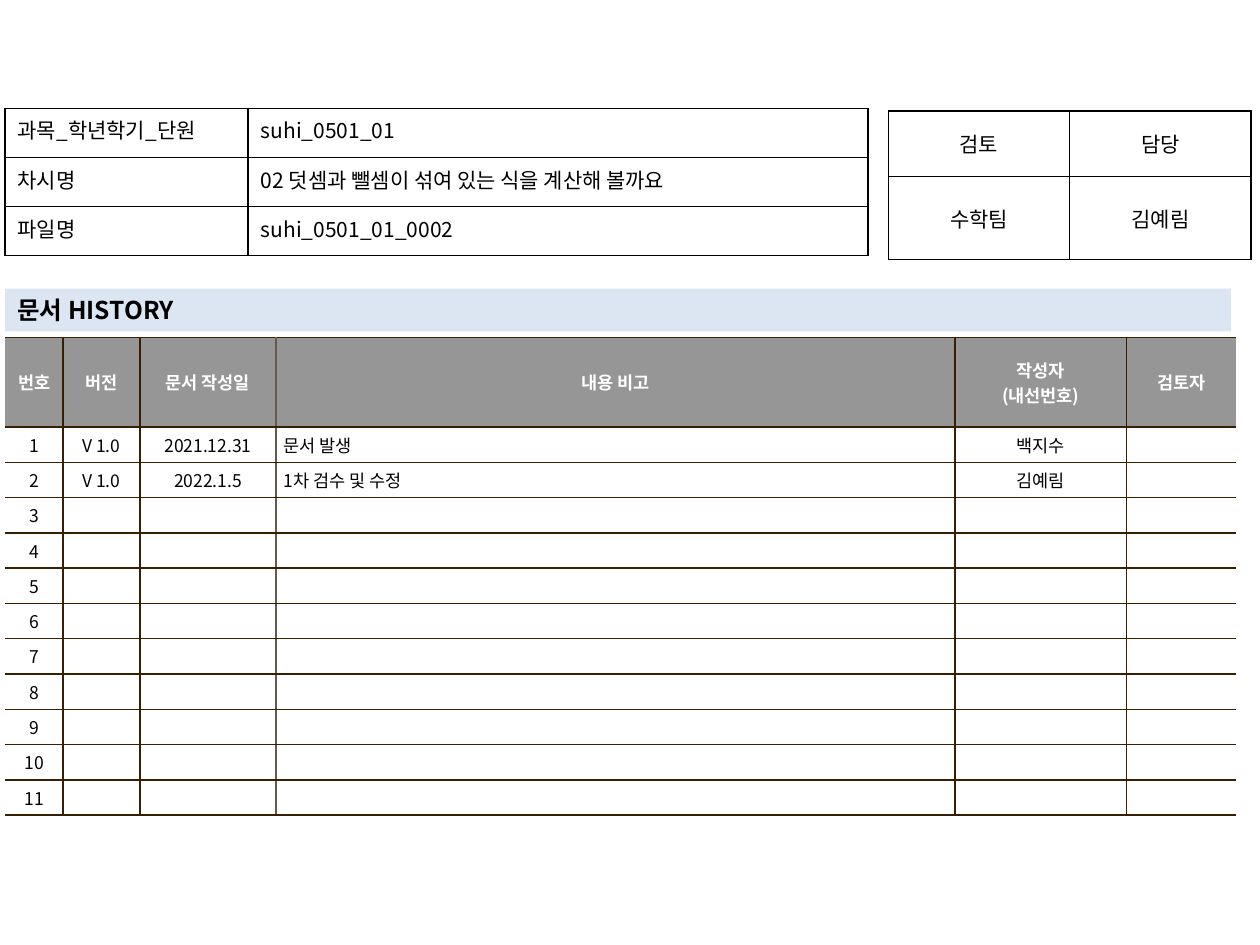
import pptx
import pptx.util
import pptx.dml.color
import pptx.enum.shapes
import pptx.enum.text
import pptx.oxml.ns
import lxml.etree
from dataclasses import dataclass

Inches = pptx.util.Inches
Align = pptx.enum.text.PP_ALIGN
Anchor = pptx.enum.text.MSO_ANCHOR


@dataclass(frozen=True)
class Theme:
    font: str = "Noto Sans CJK KR"
    ink: str = "000000"
    paper: str = "FFFFFF"
    header: str = "969696"
    band: str = "DCE6F2"
    rule: str = "362000"
    soft_rule: str = "645B4C"
    heading: int = 14
    label: int = 12
    entry: int = 10


THEME = Theme()
LEFT = 0.04
HISTORY_COLUMNS = [0.46, 0.61, 1.08, 5.39, 1.36, 0.87]
HISTORY_HEADER = ["번호", "버전", "문서 작성일", "내용 비고", "작성자\n(내선번호)", "검토자"]
HISTORY_ENTRIES = [
    ["V 1.0", "2021.12.31", "문서 발생", "백지수", ""],
    ["V 1.0", "2022.1.5", "1차 검수 및 수정", "김예림", ""],
]
HISTORY_ROWS = 11
NOTE_COLUMN = 3
LESSON = [
    ["과목_학년학기_단원", "suhi_0501_01"],
    ["차시명", "02 덧셈과 뺄셈이 섞여 있는 식을 계산해 볼까요"],
    ["파일명", "suhi_0501_01_0002"],
]
APPROVAL = [["검토", "담당"], ["수학팀", "김예림"]]


def rgb(code):
    return pptx.dml.color.RGBColor.from_string(code)


def child(parent, tag, **attributes):
    return lxml.etree.SubElement(parent, pptx.oxml.ns.qn(tag), attributes)


def write(frame, text, size, align, color=THEME.ink, bold=False, hanging=0):
    for index, line in enumerate(text.split("\n")):
        paragraph = frame.paragraphs[0] if index == 0 else frame.add_paragraph()
        paragraph.alignment = align
        if hanging:
            properties = paragraph._p.get_or_add_pPr()
            properties.set("marL", str(Inches(hanging)))
            properties.set("indent", str(-Inches(hanging)))
        if not line:
            child(paragraph._p, "a:endParaRPr", sz=str(size * 100))
            continue
        run = paragraph.add_run()
        run.text = line
        run.font.name = THEME.font
        run.font.size = pptx.util.Pt(size)
        run.font.bold = bold
        run.font.color.rgb = rgb(color)
        child(run._r.get_or_add_rPr(), "a:ea", typeface=THEME.font)


def set_borders(cell, colors):
    properties = cell._tc.get_or_add_tcPr()
    for position, (side, color) in enumerate(zip("LRTB", colors)):
        border = lxml.etree.Element(pptx.oxml.ns.qn(f"a:ln{side}"), w=str(pptx.util.Pt(1)))
        if color:
            child(child(border, "a:solidFill"), "a:srgbClr", val=color)
        else:
            child(border, "a:noFill")
        properties.insert(position, border)


def add_grid(slide, left, top, columns, rows):
    table = slide.shapes.add_table(
        len(rows), len(columns), Inches(left), Inches(top),
        Inches(sum(columns)), Inches(sum(rows))).table
    table.first_row = False
    table.horz_banding = False
    for column, width in zip(table.columns, columns):
        column.width = Inches(width)
    for row, height in zip(table.rows, rows):
        row.height = Inches(height)
    return table


def style_cell(cell, anchor, margins, fill, borders):
    cell.vertical_anchor = anchor
    cell.margin_left = cell.margin_right = Inches(margins[0])
    cell.margin_top = cell.margin_bottom = Inches(margins[1])
    if fill:
        cell.fill.solid()
        cell.fill.fore_color.rgb = rgb(fill)
    else:
        cell.fill.background()
    set_borders(cell, borders)


def add_info_table(slide, left, top, columns, rows, content, aligns, anchor):
    table = add_grid(slide, left, top, columns, rows)
    for r, texts in enumerate(content):
        for c, text in enumerate(texts):
            cell = table.cell(r, c)
            style_cell(cell, anchor, (0.1, 0.05), None, [THEME.ink] * 4)
            write(cell.text_frame, text, THEME.label, aligns[c])


def add_history_table(slide, top):
    entries = HISTORY_ENTRIES + [[""] * 5] * (HISTORY_ROWS - len(HISTORY_ENTRIES))
    content = [HISTORY_HEADER]
    content += [[str(number), *entry] for number, entry in enumerate(entries, 1)]
    table = add_grid(slide, LEFT, top, HISTORY_COLUMNS, [0.71] + [0.28] * HISTORY_ROWS)
    uprights = [None] + [THEME.rule] * 5 + [None]
    uprights[NOTE_COLUMN] = THEME.soft_rule
    for r, texts in enumerate(content):
        is_header = r == 0
        for c, text in enumerate(texts):
            is_note = c == NOTE_COLUMN and not is_header
            cell = table.cell(r, c)
            style_cell(cell, Anchor.MIDDLE, (0.06, 0.04),
                       THEME.header if is_header else THEME.paper,
                       [uprights[c], uprights[c + 1], THEME.rule, THEME.rule])
            write(cell.text_frame, text, THEME.entry,
                  Align.LEFT if is_note else Align.CENTER,
                  THEME.paper if is_header else THEME.ink,
                  is_header, 0.19 if is_note else 0)


def add_heading(slide, text, top, width, height):
    heading = slide.shapes.add_shape(
        pptx.enum.shapes.MSO_SHAPE.RECTANGLE,
        Inches(LEFT), Inches(top), Inches(width), Inches(height))
    heading.shadow.inherit = False
    heading.fill.solid()
    heading.fill.fore_color.rgb = rgb(THEME.band)
    heading.line.fill.background()
    heading.text_frame.word_wrap = True
    heading.text_frame.vertical_anchor = Anchor.TOP
    write(heading.text_frame, text, THEME.heading, Align.LEFT, bold=True)


def main():
    deck = pptx.Presentation()
    deck.slide_width = Inches(10)
    deck.slide_height = Inches(7.5)
    slide = deck.slides.add_slide(deck.slide_layouts[6])
    add_history_table(slide, 2.68)
    add_info_table(slide, 7.05, 0.88, [1.44] * 2, [0.52, 0.66], APPROVAL,
                   [Align.CENTER] * 2, Anchor.MIDDLE)
    add_heading(slide, "문서 HISTORY", 2.29, 9.73, 0.34)
    add_info_table(slide, LEFT, 0.86, [1.93, 4.92], [0.39] * 3, LESSON,
                   [Align.JUSTIFY, Align.LEFT], Anchor.TOP)
    deck.save("out.pptx")


if __name__ == "__main__":
    main()
